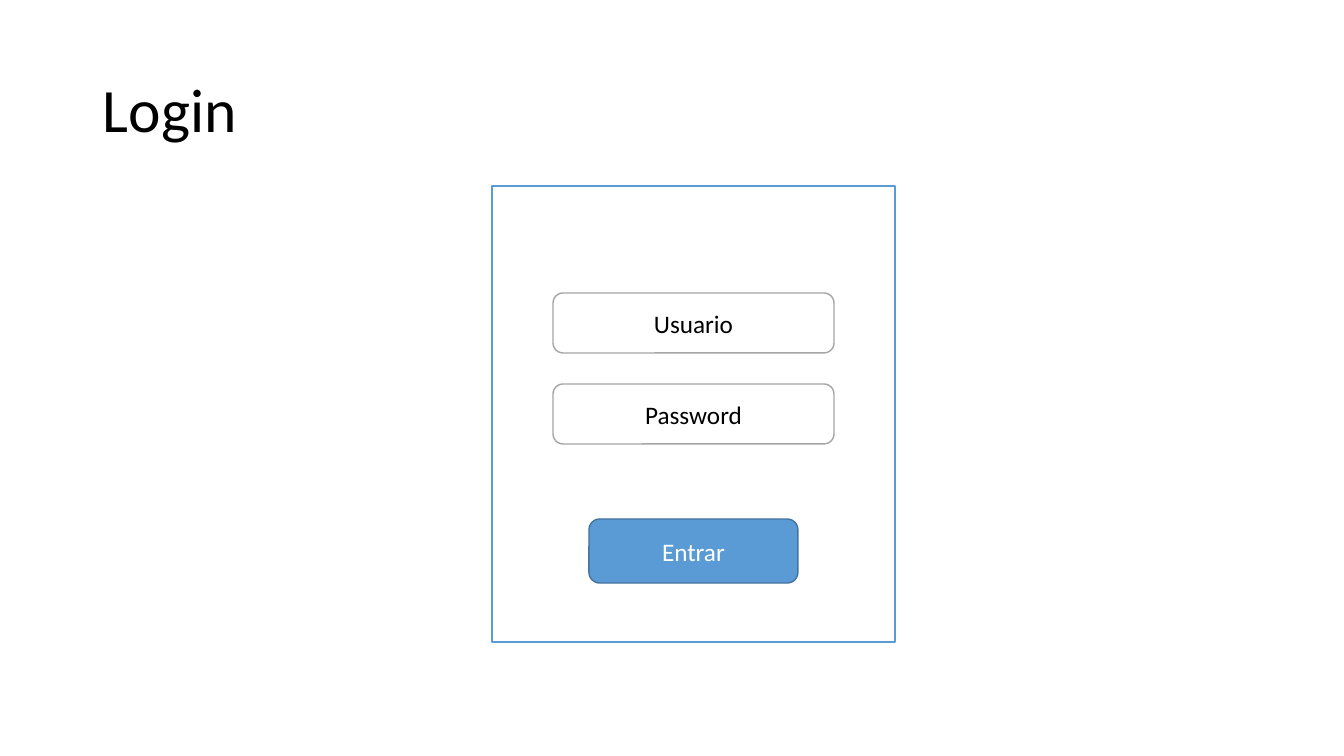
"""Build the login screen wireframe slide."""
from dataclasses import dataclass

from pptx import Presentation
from pptx.dml.color import RGBColor
from pptx.enum.shapes import MSO_SHAPE
from pptx.enum.text import MSO_ANCHOR, PP_ALIGN
from pptx.util import Pt


@dataclass(frozen=True)
class Theme:
    font: str = "Calibri"
    title_size: int = 44
    label_size: int = 18
    line_width: int = 1
    black: str = "000000"
    white: str = "FFFFFF"
    blue: str = "5B9BD5"
    dark_blue: str = "43739E"
    gray: str = "A5A5A5"


T = Theme()
EMU_PER_PX = 914400 / 100.8


def px(*lengths):
    return [round(length * EMU_PER_PX) for length in lengths]


def write(sp, text, size, color, align, spacing):
    tf = sp.text_frame
    for name, value in {"word_wrap": True, "vertical_anchor": MSO_ANCHOR.MIDDLE}.items():
        setattr(tf, name, value)
    p = tf.paragraphs[0]
    for name, value in {"alignment": align, "line_spacing": spacing}.items():
        setattr(p, name, value)
    r = p.add_run()
    r.text = text
    for name, value in {"name": T.font, "size": Pt(size)}.items():
        setattr(r.font, name, value)
    r.font.color.rgb = RGBColor.from_string(color)


prs = Presentation()
prs.slide_width, prs.slide_height = px(1344, 756)
s = prs.slides.add_slide(prs.slide_layouts[6])

title = s.shapes.add_textbox(*px(93, 40, 1159, 146))
write(title, "Login", T.title_size, T.black, PP_ALIGN.LEFT, 0.9)

PANEL_LEFT, PANEL_WIDTH = 492, 403
RECT, ROUNDED = MSO_SHAPE.RECTANGLE, MSO_SHAPE.ROUNDED_RECTANGLE
controls = [
    (RECT, 186, PANEL_WIDTH, 456, T.white, T.blue, "", T.black),
    (ROUNDED, 293, 281, 60, T.white, T.gray, "Usuario", T.black),
    (ROUNDED, 384, 281, 60, T.white, T.gray, "Password", T.black),
    (ROUNDED, 519, 209, 64, T.blue, T.dark_blue, "Entrar", T.white),
]
for kind, top, width, height, fill, line, label, color in controls:
    left = PANEL_LEFT + (PANEL_WIDTH - width) // 2
    sp = s.shapes.add_shape(kind, *px(left, top, width, height))
    sp.shadow.inherit = False
    sp.fill.solid()
    sp.fill.fore_color.rgb = RGBColor.from_string(fill)
    sp.line.color.rgb = RGBColor.from_string(line)
    sp.line.width = Pt(T.line_width)
    if label:
        write(sp, label, T.label_size, color, PP_ALIGN.CENTER, 1.0)

prs.save("out.pptx")
